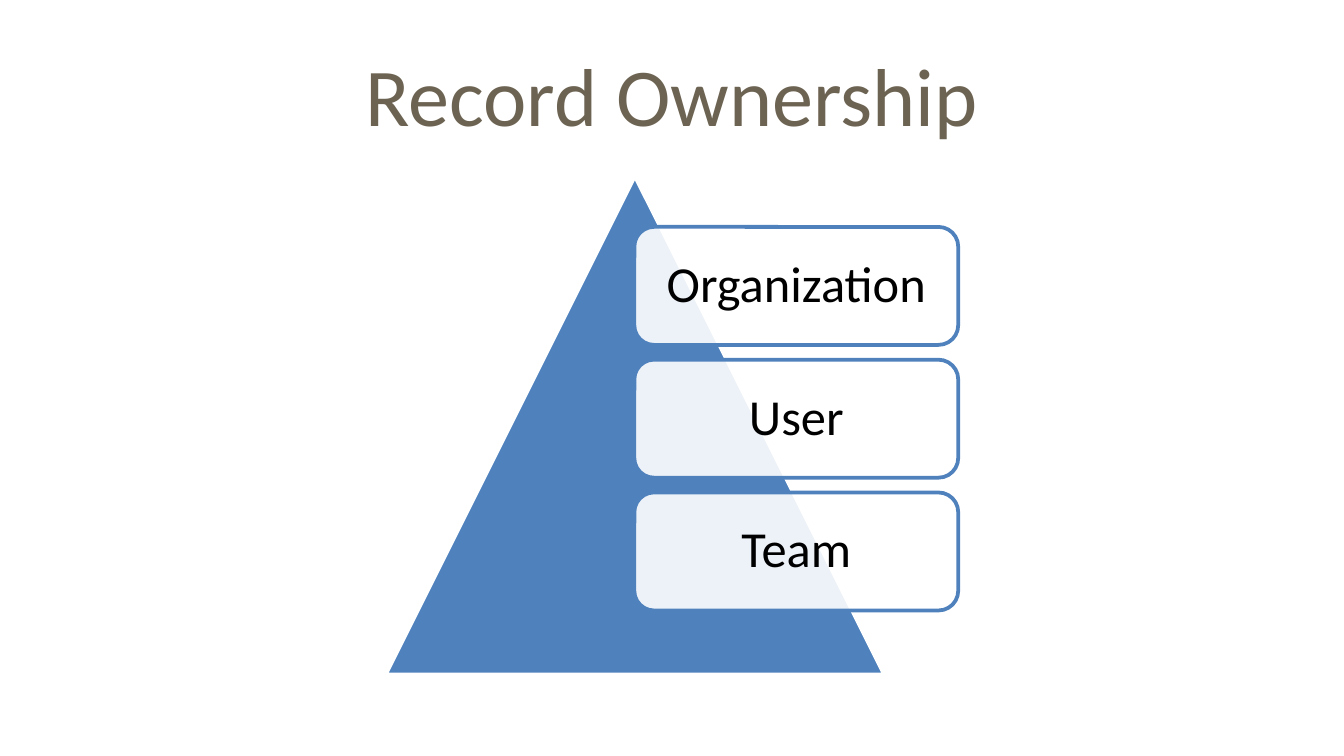
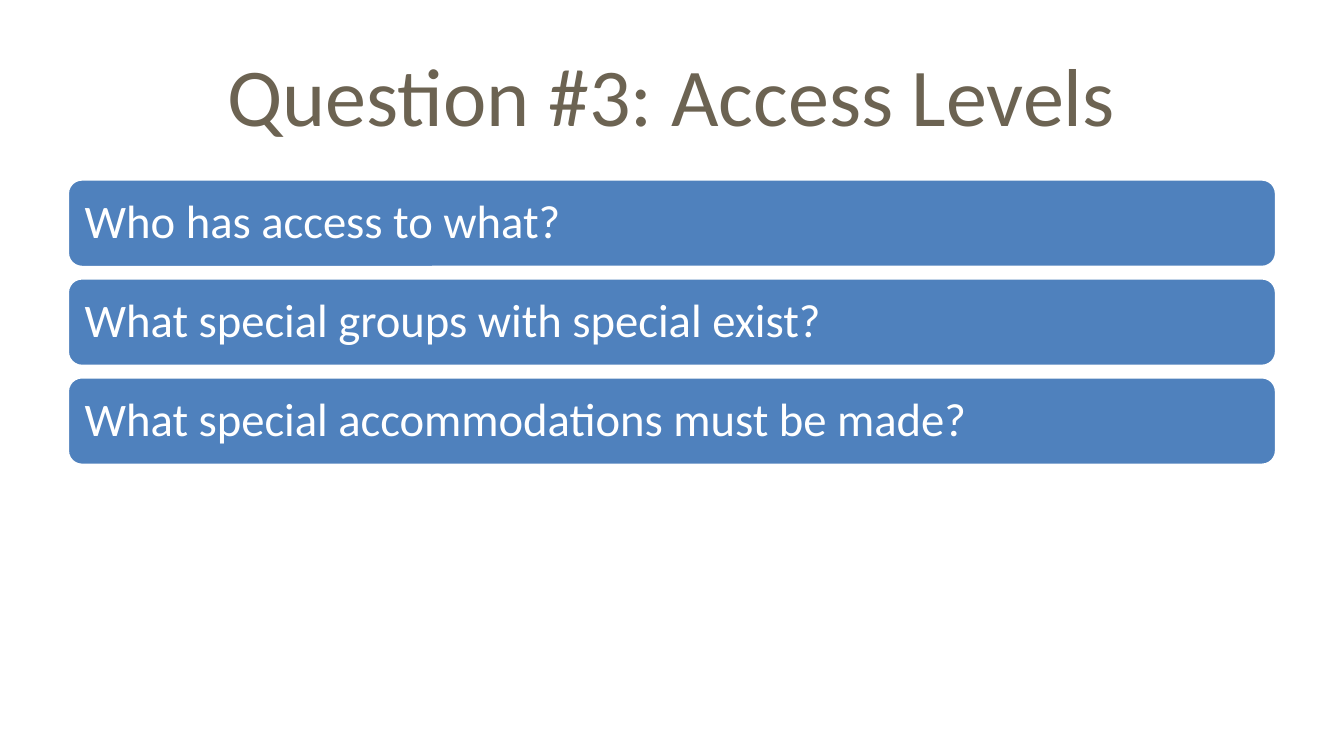
import lxml.etree
import pptx
import pptx.dml.color
import pptx.enum.shapes
import pptx.enum.text
import pptx.oxml.ns
import pptx.util

Cm, Pt = pptx.util.Cm, pptx.util.Pt
RGBColor = pptx.dml.color.RGBColor
SHAPE = pptx.enum.shapes.MSO_SHAPE
ALIGN = pptx.enum.text.PP_ALIGN
MIDDLE = pptx.enum.text.MSO_ANCHOR.MIDDLE

BLUE = RGBColor(0x4F, 0x81, 0xBD)
TAUPE = RGBColor(0x6C, 0x63, 0x52)
WHITE = RGBColor(0xFF, 0xFF, 0xFF)
BLACK = RGBColor(0x00, 0x00, 0x00)


class Deck:
    font = "Calibri"
    title_only = 5

    def __init__(self):
        self.prs = pptx.Presentation()
        self.prs.slide_width, self.prs.slide_height = Cm(25.4), Cm(14.29)
        self.s = None

    def add_slide(self, title):
        self.s = self.prs.slides.add_slide(self.prs.slide_layouts[self.title_only])
        sp = self.s.shapes.title
        sp.left, sp.top, sp.width, sp.height = Cm(1.27), Cm(0.58), Cm(22.86), Cm(2.39)
        self.set_text(sp, title, 44, TAUPE, ALIGN.CENTER)

    def set_text(self, sp, text, size, color, align):
        tf = sp.text_frame
        tf.text = text
        tf.word_wrap = True
        tf.auto_size = pptx.enum.text.MSO_AUTO_SIZE.NONE
        tf.vertical_anchor = MIDDLE
        p = tf.paragraphs[0]
        p.alignment = align
        p.font.name, p.font.size, p.font.color.rgb = self.font, Pt(size), color

    def shape(self, kind, left, top, width, height, fill, line, opacity=100):
        sp = self.s.shapes.add_shape(kind, Cm(left), Cm(top), Cm(width), Cm(height))
        sp.shadow.inherit = False
        sp.fill.solid()
        sp.fill.fore_color.rgb = fill
        if opacity < 100:
            qn = pptx.oxml.ns.qn
            clr = sp.element.spPr.find(qn("a:solidFill")).find(qn("a:srgbClr"))
            lxml.etree.SubElement(clr, qn("a:alpha"), val=str(opacity * 1000))
        sp.line.color.rgb = line
        sp.line.width = Pt(2)
        return sp

    def stack(self, labels, left, top, width, height, pitch, inset, size, color,
              align, **style):
        """Draw equally spaced rounded boxes, one under the other."""
        for i, label in enumerate(labels):
            sp = self.shape(SHAPE.ROUNDED_RECTANGLE, left, top + i * pitch,
                            width, height, **style)
            tf = sp.text_frame
            tf.margin_left = tf.margin_right = Cm(inset)
            tf.margin_top = tf.margin_bottom = Cm(inset)
            self.set_text(sp, label, size, color, align)
            tf.paragraphs[0].line_spacing = 0.9


def main():
    deck = Deck()

    deck.add_slide("Record Ownership")
    deck.shape(SHAPE.ISOSCELES_TRIANGLE, 7.29, 3.33, 9.42, 9.42, fill=BLUE, line=WHITE)
    deck.stack(["Organization", "User", "Team"],
               11.99, 4.29, 6.12, 2.23, pitch=2.51, inset=0.28,
               size=27, color=BLACK, align=ALIGN.CENTER,
               fill=WHITE, line=BLUE, opacity=90)

    deck.add_slide("Question #3: Access Levels")
    deck.stack(["Who has access to what?",
                "What special groups with special exist?",
                "What special accommodations must be made?"],
               1.27, 3.38, 22.86, 1.68, pitch=1.87, inset=0.25,
               size=25, color=WHITE, align=ALIGN.LEFT,
               fill=BLUE, line=WHITE)

    deck.prs.save("out.pptx")


if __name__ == "__main__":
    main()
